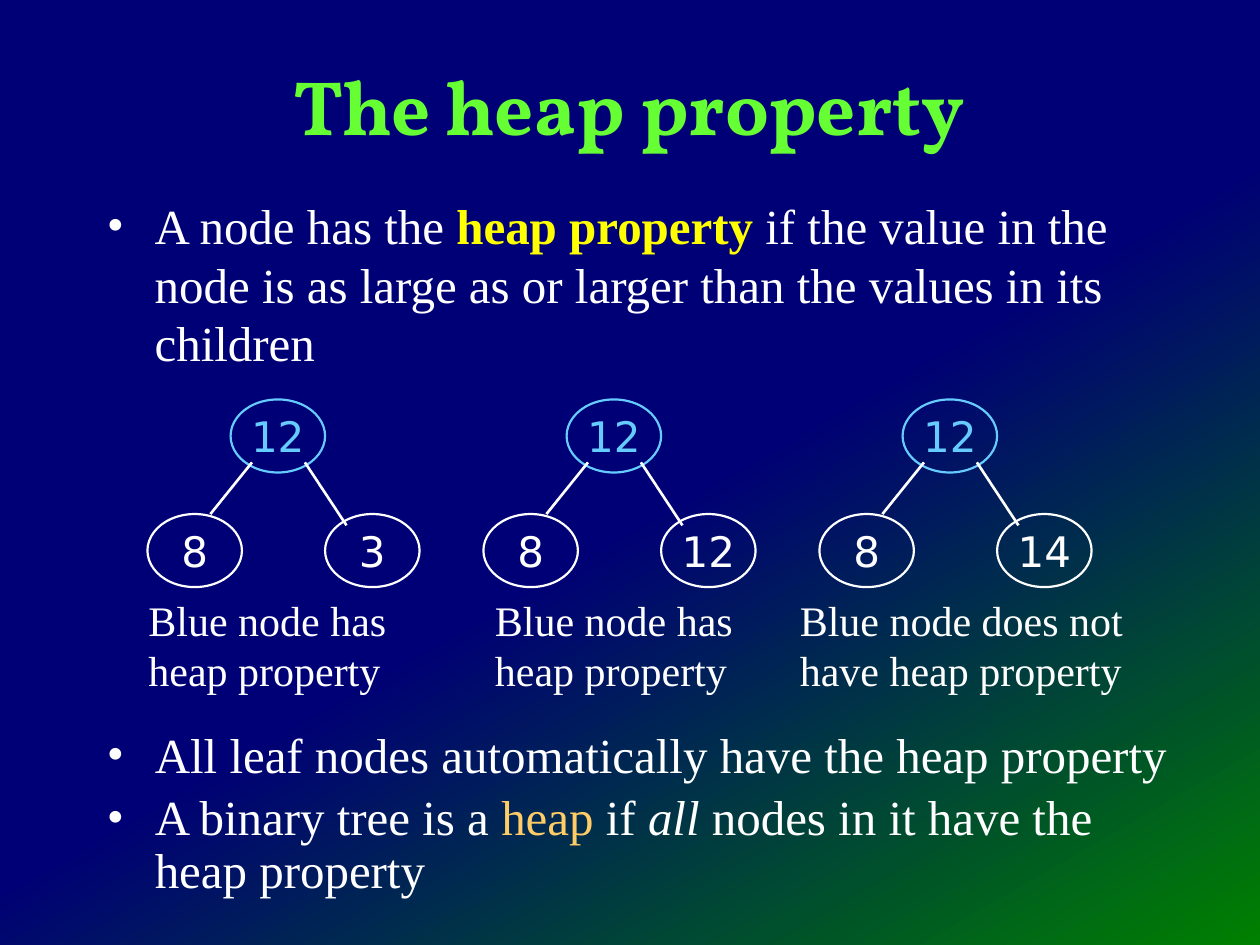
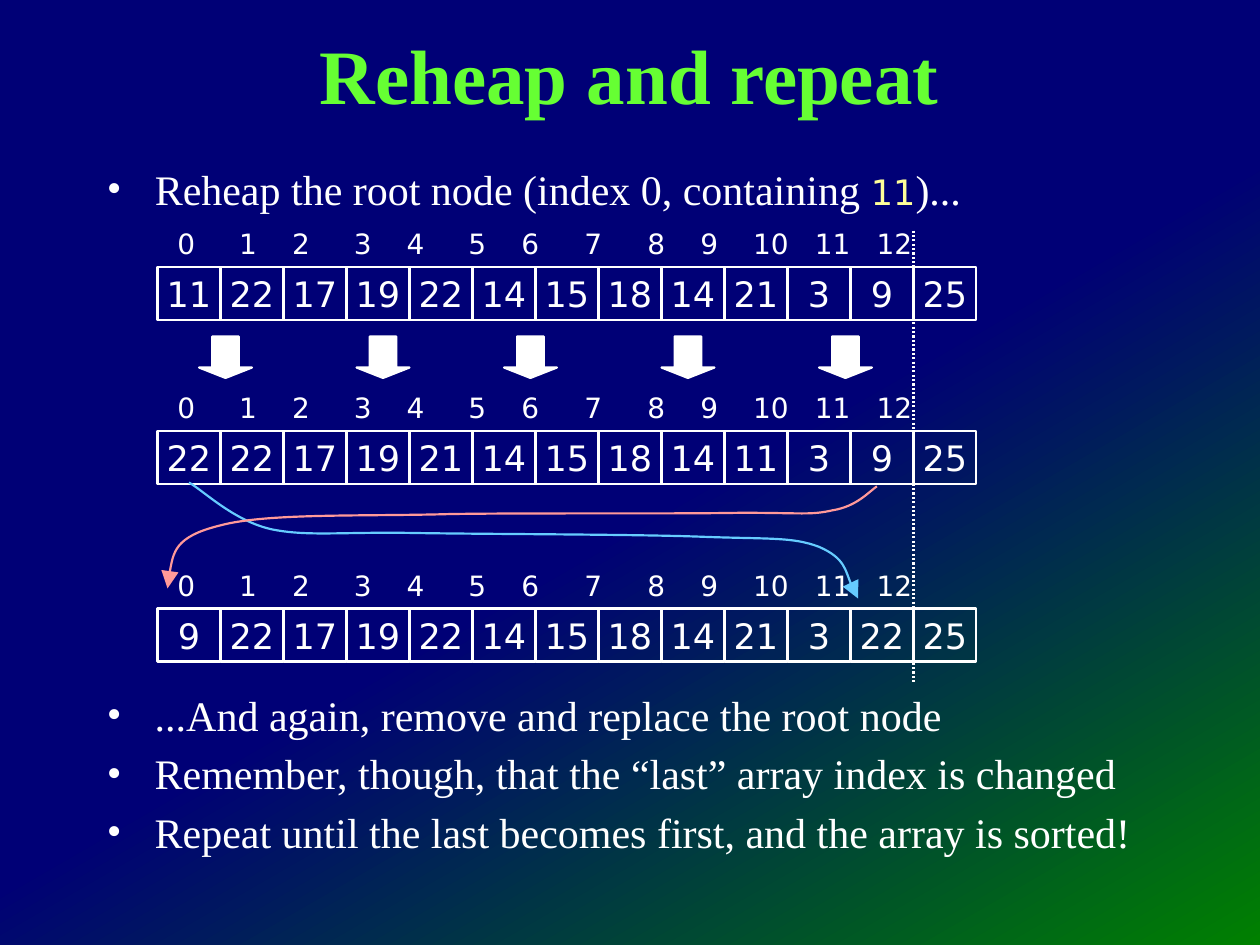
import copy

import pptx
import pptx.dml.color
import pptx.enum.dml
import pptx.enum.shapes
import pptx.enum.text
import pptx.oxml.ns
import pptx.util
from lxml import etree
from pptx.util import Inches

NAVY, GREEN = "000076", "008000"
WHITE, LIME, YELLOW, CREAM, ORANGE = "FFFFFF", "66FF33", "FFFF00", "FFFF99", "FFCC66"
BLUE, PINK = "66CCFF", "FF9999"
SERIF, SANS, DISPLAY = "Times New Roman", "DejaVu Sans", "Vollkorn"

SHAPES = pptx.enum.shapes.MSO_SHAPE
CENTER = pptx.enum.text.PP_ALIGN.CENTER
MIDDLE = pptx.enum.text.MSO_ANCHOR.MIDDLE

TREE_STEP = 8 / 3
NODE_W, NODE_H = 0.75, 0.58
ARRAY_LEFT, CELL_W, CELL_H = 1.25, 0.5, 0.42
INDEX_STOPS = [0.21, 0.7, 1.12, 1.61, 2.03, 2.52, 2.94, 3.44, 3.94, 4.36, 4.85, 5.34, 5.83]


def rgb(hex_color):
    return pptx.dml.color.RGBColor.from_string(hex_color)


def add_element(parent, tag, **attributes):
    element = etree.SubElement(parent, pptx.oxml.ns.qn(tag))
    for key, value in attributes.items():
        element.set(key, str(value))
    return element


def set_font(font, size=None, name=None, color=None, bold=None, italic=None):
    """Set only the font properties that are given."""
    if size:
        font.size = pptx.util.Pt(size)
    if name:
        font.name = name
    if color:
        font.color.rgb = rgb(color)
    if bold is not None:
        font.bold = bold
    if italic is not None:
        font.italic = italic


def set_background(master):
    """Navy up to 53 %, then fading to green at the lower right."""
    fill = master.background.fill
    fill.gradient()
    fill.gradient_angle = 300
    stop_list = master.element.find(".//" + pptx.oxml.ns.qn("a:gsLst"))
    stop_list.insert(1, copy.deepcopy(stop_list[0]))
    colors = [(0, NAVY), (0.53, NAVY), (1, GREEN)]
    for stop, (position, color) in zip(fill.gradient_stops, colors):
        stop.position = position
        stop.color.rgb = rgb(color)


def add_text(slide, left, top, width, height):
    frame = slide.shapes.add_textbox(
        Inches(left), Inches(top), Inches(width), Inches(height)).text_frame
    frame.word_wrap = True
    return frame


def add_title(slide, top, text, name):
    frame = add_text(slide, 0.33, top, 9.33, 0.83)
    frame.vertical_anchor = MIDDLE
    title = frame.paragraphs[0]
    title.text = text
    title.alignment = CENTER
    set_font(title.font, 44, name, LIME, bold=True)


def add_bullets(slide, box, size, bullets, line_spacing=None):
    """Each bullet is a list of (text, font overrides) spans."""
    frame = add_text(slide, *box)
    for number, spans in enumerate(bullets):
        bullet = frame.add_paragraph() if number else frame.paragraphs[0]
        properties = bullet._p.get_or_add_pPr()
        properties.set("marL", str(Inches(0.38)))
        properties.set("indent", str(-Inches(0.38)))
        add_element(properties, "a:buFont", typeface=SERIF)
        add_element(properties, "a:buChar", char="•")
        if number:
            bullet.space_before = pptx.util.Pt(0.2 * size)
        if line_spacing:
            bullet.line_spacing = line_spacing
        set_font(bullet.font, size, SERIF, WHITE)
        for text, overrides in spans:
            run = bullet.add_run()
            run.text = text
            set_font(run.font, **overrides)


def style_line(line, color, width=1.25):
    line.color.rgb = rgb(color)
    line.width = pptx.util.Pt(width)


def add_outline(slide, kind, left, top, width, height, color=WHITE):
    shape = slide.shapes.add_shape(
        kind, Inches(left), Inches(top), Inches(width), Inches(height))
    shape.shadow.inherit = False
    shape.fill.background()
    style_line(shape.line, color)
    return shape


def add_value(slide, kind, left, top, width, height, value, size, color=WHITE):
    """An outlined shape holding one centred number."""
    frame = add_outline(slide, kind, left, top, width, height, color).text_frame
    frame.word_wrap = False
    frame.vertical_anchor = MIDDLE
    number = frame.paragraphs[0]
    number.text = str(value)
    number.alignment = CENTER
    set_font(number.font, size, SANS, color)


def add_line(slide, x1, y1, x2, y2, width):
    line = slide.shapes.add_connector(
        pptx.enum.shapes.MSO_CONNECTOR.STRAIGHT,
        Inches(x1), Inches(y1), Inches(x2), Inches(y2))
    style_line(line.line, WHITE, width)
    add_element(line._element.spPr, "a:effectLst")
    return line


def add_tree(slide, left, root, children):
    add_value(slide, SHAPES.OVAL, left + 0.66, 3.17, NODE_W, NODE_H, root, 24, BLUE)
    for offset, child in zip((0, 1.41), children):
        add_value(slide, SHAPES.OVAL, left + offset, 4.08, NODE_W, NODE_H, child, 24)
    add_line(slide, left + 0.83, 3.67, left + 0.5, 4.08, 1.5)
    add_line(slide, left + 1.25, 3.67, left + 1.58, 4.17, 1.5)


def add_caption(slide, left, width, text):
    caption = add_text(slide, left, 4.67, width, 0.9).paragraphs[0]
    caption.text = text
    set_font(caption.font, 24, SERIF, WHITE)


def add_array(slide, top, values):
    """A row of cells with their indexes above, set on centred tab stops."""
    for column, value in enumerate(values):
        add_value(slide, SHAPES.RECTANGLE, ARRAY_LEFT + column * CELL_W, top,
                  CELL_W, CELL_H, value, 20)
    indexes = add_text(slide, 1.17, top - 0.37, 6.92, 0.37).paragraphs[0]
    indexes.text = "".join(f"\t{index}" for index in range(len(INDEX_STOPS)))
    tabs = add_element(indexes._p.get_or_add_pPr(), "a:tabLst")
    for position in INDEX_STOPS:
        add_element(tabs, "a:tab", pos=Inches(position), algn="ctr")
    set_font(indexes.font, 16, SANS, WHITE)


def add_swap_arrow(slide, color, *points):
    """A curve from the first point through Bezier triples, ending in an arrowhead."""
    start, *controls = [(Inches(x), Inches(y)) for x, y in points]
    builder = slide.shapes.build_freeform(*start)
    builder.add_line_segments(controls, close=False)
    arrow = builder.convert_to_shape()
    arrow.shadow.inherit = False
    arrow.fill.background()
    style_line(arrow.line, color)
    add_element(arrow.line._get_or_add_ln(), "a:tailEnd", type="triangle", w="lg", len="lg")
    outline = arrow._element.find(".//" + pptx.oxml.ns.qn("a:path"))
    segments = outline.findall(pptx.oxml.ns.qn("a:lnTo"))
    for first in range(0, len(segments), 3):
        curve = add_element(outline, "a:cubicBezTo")
        for segment in segments[first:first + 3]:
            curve.append(segment[0])
            outline.remove(segment)


def build_heap_property(slide):
    add_title(slide, 0.42, "The heap property", DISPLAY)
    add_bullets(slide, (0.75, 1.5, 8.5, 1.58), 28, [[
        ("A node has the ", {}),
        ("heap property ", {"color": YELLOW, "bold": True}),
        ("if the value in the node is as large as or larger than "
         "the values in its children", {})]])
    add_bullets(slide, (0.75, 5.75, 8.75, 1.5), 28, [
        [("All leaf nodes automatically have the heap property", {})],
        [("A binary tree is a ", {}), ("heap", {"color": ORANGE}), (" if ", {}),
         ("all", {"italic": True}), (" nodes in it have the heap property", {})],
    ], line_spacing=0.9)
    trees = [
        ((8, 3), 1.08, 2.17, "Blue node has heap property"),
        ((8, 12), 3.83, 2.17, "Blue node has heap property"),
        ((8, 14), 6.25, 2.83, "Blue node does not have heap property"),
    ]
    for number, (children, caption_left, caption_width, caption) in enumerate(trees):
        add_tree(slide, 1.17 + number * TREE_STEP, 12, children)
        add_caption(slide, caption_left, caption_width, caption)


def build_reheap(slide):
    add_title(slide, 0.17, "Reheap and repeat", SERIF)
    add_bullets(slide, (0.75, 1.25, 8.58, 0.5), 24, [[
        ("Reheap the root node (index 0, containing ", {}),
        ("11", {"size": 20, "name": SANS, "color": CREAM}),
        (")...", {})]])
    add_bullets(slide, (0.75, 5.42, 8.5, 1.58), 24, [
        [("...And again, remove and replace the root node", {})],
        [("Remember, though, that the “last” array index is changed", {})],
        [("Repeat until the last becomes first, and the array is sorted!", {})]])

    add_array(slide, 2.12, [11, 22, 17, 19, 22, 14, 15, 18, 14, 21, 3, 9, 25])
    add_array(slide, 3.42, [22, 22, 17, 19, 21, 14, 15, 18, 14, 11, 3, 9, 25])
    add_array(slide, 4.83, [9, 22, 17, 19, 22, 14, 15, 18, 14, 21, 3, 22, 25])

    for left in (1.58, 2.83, 4, 5.25, 6.5):
        step = add_outline(slide, SHAPES.DOWN_ARROW, left, 2.67, 0.42, 0.33)
        step.adjustments[0], step.adjustments[1] = 0.5, 0.25
        step.fill.solid()
        step.fill.fore_color.rgb = rgb(WHITE)

    add_swap_arrow(
        slide, BLUE, (1.5, 3.83),
        (1.61, 3.89), (1.85, 4.13), (2.15, 4.2),
        (2.44, 4.26), (2.71, 4.22), (3.28, 4.23),
        (3.85, 4.24), (5.04, 4.24), (5.57, 4.26),
        (6.11, 4.28), (6.29, 4.26), (6.5, 4.34),
        (6.71, 4.43), (6.75, 4.66), (6.81, 4.75))
    add_swap_arrow(
        slide, PINK, (6.96, 3.86),
        (6.9, 3.9), (6.8, 4.02), (6.61, 4.05),
        (6.43, 4.09), (6.38, 4.07), (5.88, 4.07),
        (5.37, 4.08), (4.27, 4.07), (3.58, 4.08),
        (2.9, 4.1), (2.12, 4.07), (1.75, 4.17),
        (1.38, 4.26), (1.35, 4.47), (1.33, 4.67))

    sorted_boundary = add_line(slide, 7.25, 1.83, 7.25, 5.42, 1.25)
    sorted_boundary.line.dash_style = pptx.enum.dml.MSO_LINE.ROUND_DOT


def main():
    deck = pptx.Presentation()
    deck.slide_width, deck.slide_height = Inches(10), Inches(7.5)
    set_background(deck.slide_master)
    for build in (build_heap_property, build_reheap):
        build(deck.slides.add_slide(deck.slide_layouts[6]))
    deck.save("out.pptx")


if __name__ == "__main__":
    main()
